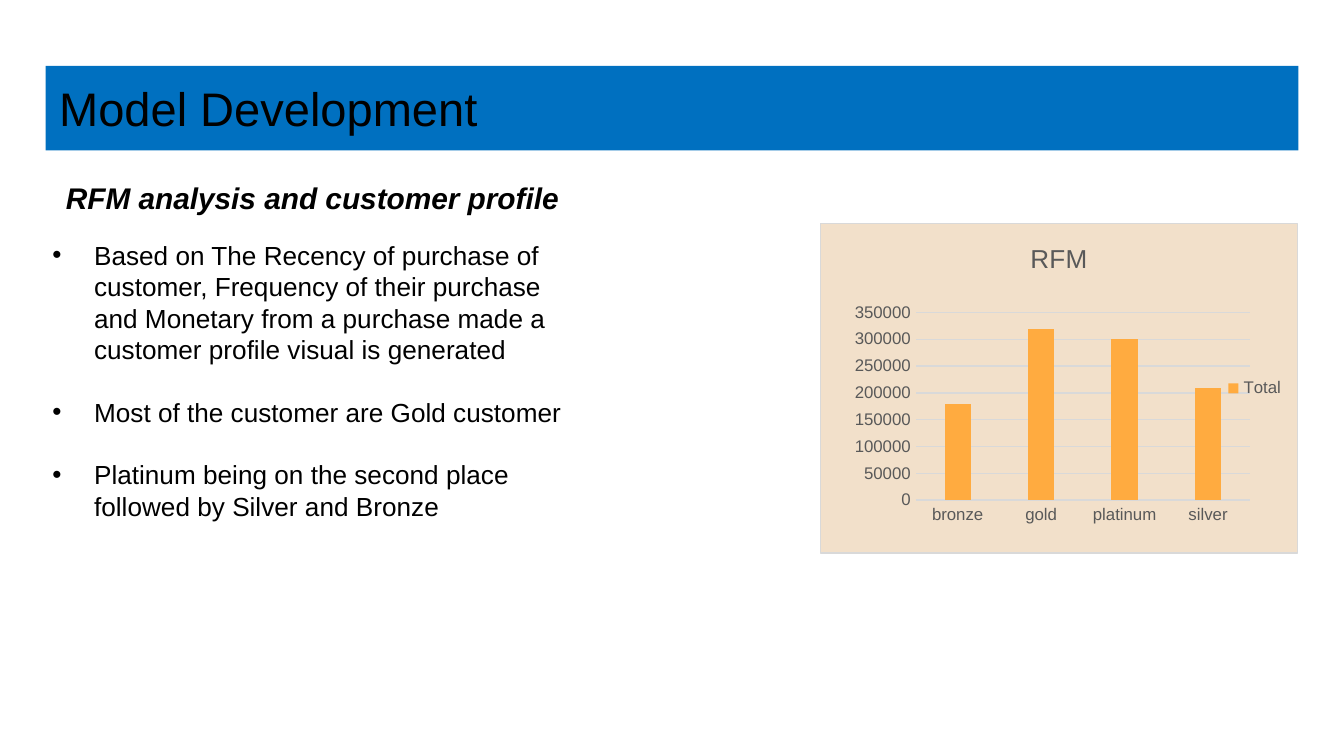
from typing import NamedTuple

from lxml import etree
from pptx import Presentation
from pptx.chart.data import CategoryChartData
from pptx.dml.color import RGBColor
from pptx.enum.chart import XL_CHART_TYPE, XL_LEGEND_POSITION, XL_TICK_MARK
from pptx.enum.text import MSO_ANCHOR, MSO_AUTO_SIZE, PP_ALIGN
from pptx.oxml import parse_xml
from pptx.oxml.ns import nsdecls, qn
from pptx.util import Inches, Pt

COLUMN = XL_CHART_TYPE.COLUMN_CLUSTERED
RIGHT = XL_LEGEND_POSITION.RIGHT
NO_TICK = XL_TICK_MARK.NONE
TOP, MIDDLE = MSO_ANCHOR.TOP, MSO_ANCHOR.MIDDLE
NO_FIT = MSO_AUTO_SIZE.NONE
LEFT = PP_ALIGN.LEFT

FONT = "Arial"
BLACK, BLUE, GRAY = "000000", "0070C0", "595959"
RULE, SAND, ORANGE = "D9D9D9", "F2E0CA", "FFAB40"
INDENT = Inches(0.31)
WIDE = Inches(10)

POINTS = [
    "Based on The Recency of purchase of customer, Frequency of their purchase "
    "and Monetary from a purchase made a customer profile visual is generated",
    "Most of the customer are Gold customer",
    "Platinum being on the second place followed by Silver and Bronze",
]
TOTALS = {"bronze": 180000, "gold": 320000, "platinum": 300000, "silver": 210000}


class Box(NamedTuple):
    left: float
    top: float
    width: float
    height: float

    def emu(self) -> list:
        return [Inches(x) for x in self]


class Style(NamedTuple):
    size: float
    color: str = BLACK
    bold: bool = False
    italic: bool = False


def paint(color, code: str) -> None:
    color.rgb = RGBColor.from_string(code)


def set_font(font, style: Style) -> None:
    font.name, font.size = FONT, Pt(style.size)
    font.bold, font.italic = style.bold, style.italic
    paint(font.color, style.color)


def add_run(para, text: str, style: Style) -> None:
    run = para.add_run()
    run.text = text
    set_font(run.font, style)


def place(shape, box: Box, inset: float, anchor):
    """Move a shape and return its text frame, ready for runs."""
    shape.left, shape.top, shape.width, shape.height = box.emu()
    frame = shape.text_frame
    frame.word_wrap, frame.auto_size = True, NO_FIT
    frame.vertical_anchor = anchor
    frame.margin_left = frame.margin_right = Inches(inset)
    frame.margin_top = frame.margin_bottom = Inches(inset)
    return frame


def add_title(slide) -> None:
    title = slide.shapes.title
    title.fill.solid()
    paint(title.fill.fore_color, BLUE)
    para = place(title, Box(0.34, 0.49, 9.32, 0.63), 0.1, MIDDLE).paragraphs[0]
    para.alignment = LEFT
    add_run(para, "Model Development", Style(25.2))


def add_heading(slide) -> None:
    box = Box(0.44, 1.29, 4.81, 0.37)
    frame = place(slide.shapes.add_textbox(*box.emu()), box, 0.05, TOP)
    add_run(frame.paragraphs[0], "RFM analysis and customer profile",
            Style(16, bold=True, italic=True))


def add_points(slide) -> None:
    frame = place(slide.placeholders[1], Box(0.34, 1.73, 3.94, 2.22), 0.05, TOP)
    for i, text in enumerate(POINTS):
        para = frame.add_paragraph() if i else frame.paragraphs[0]
        para.alignment, para.line_spacing = LEFT, 1.0
        para.space_before = Pt(16.8 if i else 0)
        props = para._p.get_or_add_pPr()
        props.set("marL", str(INDENT))
        props.set("indent", str(-INDENT))
        etree.SubElement(props, qn("a:buFont")).set("typeface", FONT)
        etree.SubElement(props, qn("a:buChar")).set("char", "•")
        add_run(para, text, Style(14))


def set_line(line, code: str) -> None:
    paint(line.color, code)
    line.width = Pt(0.75)


def set_plot(chart, box: Box) -> None:
    """Fix the inner plot area, in fractions of the chart."""
    spots = "".join(f'<c:{tag} val="{val}"/>' for tag, val in zip("xywh", box))
    layout = parse_xml(
        f'<c:layout {nsdecls("c")}><c:manualLayout><c:layoutTarget val="inner"/>'
        f'<c:xMode val="edge"/><c:yMode val="edge"/>{spots}'
        "</c:manualLayout></c:layout>")
    area = chart._chartSpace.chart.plotArea
    for old in area.findall(qn("c:layout")):
        area.remove(old)
    area.insert(0, layout)


def set_frame(chart) -> None:
    """Fill and outline the whole chart."""
    props = parse_xml(
        f'<c:spPr {nsdecls("c", "a")}>'
        f'<a:solidFill><a:srgbClr val="{SAND}"/></a:solidFill>'
        f'<a:ln w="{Pt(0.75)}"><a:solidFill><a:srgbClr val="{RULE}"/></a:solidFill>'
        "</a:ln></c:spPr>")
    chart._chartSpace.chart.addnext(props)


def add_chart(slide) -> None:
    data = CategoryChartData()
    data.categories = list(TOTALS)
    data.add_series("Total", list(TOTALS.values()))
    box = Box(6.1, 1.66, 3.56, 2.46)
    chart = slide.shapes.add_chart(COLUMN, *box.emu(), data).chart
    small = Style(9, GRAY)
    set_font(chart.font, Style(10))

    chart.has_title = True
    add_run(chart.chart_title.text_frame.paragraphs[0], "RFM", Style(14, GRAY))
    chart.chart_title.include_in_layout = False
    chart.has_legend = True
    chart.legend.position = RIGHT
    chart.legend.include_in_layout = False
    set_font(chart.legend.font, small)

    for axis in (chart.category_axis, chart.value_axis):
        axis.major_tick_mark = axis.minor_tick_mark = NO_TICK
        set_font(axis.tick_labels.font, small)
    set_line(chart.category_axis.format.line, RULE)
    values = chart.value_axis
    values.minimum_scale, values.maximum_scale, values.major_unit = 0, 350000, 50000
    values.format.line.fill.background()
    set_line(values.major_gridlines.format.line, RULE)

    plot = chart.plots[0]
    plot.gap_width, plot.overlap, plot.vary_by_categories = 219, -27, False
    fill = plot.series[0].format.fill
    fill.solid()
    paint(fill.fore_color, ORANGE)
    set_plot(chart, Box(0.2, 0.27, 0.7, 0.57))
    set_frame(chart)


def main() -> None:
    deck = Presentation()
    deck.slide_width, deck.slide_height = WIDE, WIDE * 9 // 16
    slide = deck.slides.add_slide(deck.slide_layouts[1])
    add_title(slide)
    add_heading(slide)
    add_points(slide)
    add_chart(slide)
    deck.save("out.pptx")


if __name__ == "__main__":
    main()
